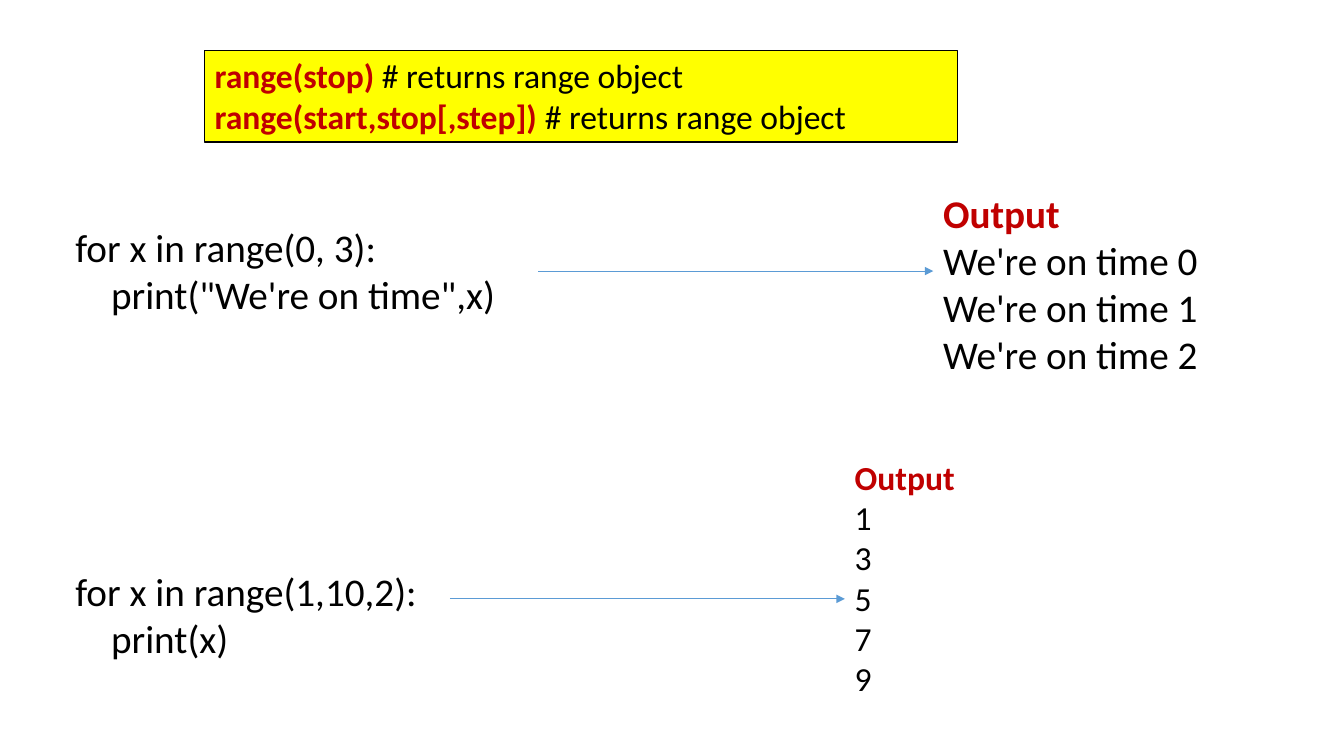
from lxml.etree import SubElement
from pptx import Presentation
from pptx.dml.color import RGBColor
from pptx.enum.shapes import MSO_CONNECTOR, MSO_SHAPE
from pptx.enum.text import MSO_ANCHOR, PP_ALIGN
from pptx.oxml.ns import qn
from pptx.util import Cm, Pt

FONT = "Calibri"
BLACK, RED, YELLOW, BLUE = "000000", "C00000", "FFFF00", "5B9BD5"
CODE_INDENT = 0.9
ARROW_LENGTH = 9.95

SYNTAX = {
    "place": (5.16, 1.27, 18.97, 2.31),
    "lines": [
        ("range(stop)", " # returns range object"),
        ("range(start,stop[,step])", " # returns range object"),
    ],
}
EXAMPLES = [
    {
        "code": ["for x in range(0, 3):", 'print("We\'re on time",x)'],
        "code_place": (1.65, 5.51, 16.94, 2.64),
        "output": ["We're on time 0", "We're on time 1", "We're on time 2"],
        "output_place": (23.52, 4.65, 8.94, 5.05),
        "output_size": 28,
        "arrow_y": 6.83,
    },
    {
        "code": ["for x in range(1,10,2):", "print(x)"],
        "code_place": (1.65, 14.17, 11.43, 2.64),
        "output": ["1", "3", "5", "7", "9"],
        "output_place": (21.29, 11.38, 4.47, 6.4),
        "output_size": 24,
        "arrow_y": 15.09,
    },
]


def colour(value):
    return RGBColor.from_string(value)


def add_text(page, lines, place, size=28, fill=None, indents=()):
    bounds = [Cm(length) for length in place]
    if fill:
        box = page.shapes.add_shape(MSO_SHAPE.RECTANGLE, *bounds)
        box.shadow.inherit = False
        box.fill.solid()
        box.fill.fore_color.rgb = colour(fill)
        box.line.color.rgb = colour(BLACK)
        box.line.width = Pt(0.75)
    else:
        box = page.shapes.add_textbox(*bounds)
    frame = box.text_frame
    frame.word_wrap = True
    frame.vertical_anchor = MSO_ANCHOR.TOP
    for index, (strong, plain) in enumerate(lines):
        para = frame.paragraphs[0] if index == 0 else frame.add_paragraph()
        para.alignment = PP_ALIGN.LEFT
        if index in indents:
            para._p.get_or_add_pPr().set("marL", str(Cm(CODE_INDENT)))
        for text, bold, ink in ((strong, True, RED), (plain, False, BLACK)):
            if text:
                span = para.add_run()
                span.text = text
                span.font.name = FONT
                span.font.size = Pt(size)
                span.font.bold = bold
                span.font.color.rgb = colour(ink)


def add_arrow(page, end_x, y):
    arrow = page.shapes.add_connector(
        MSO_CONNECTOR.STRAIGHT, Cm(end_x - ARROW_LENGTH), Cm(y), Cm(end_x), Cm(y)
    )
    arrow.line.color.rgb = colour(BLUE)
    arrow.line.width = Pt(0.5)
    SubElement(arrow.line._get_or_add_ln(), qn("a:tailEnd"), type="triangle")
    SubElement(arrow._element.spPr, qn("a:effectLst"))


def main():
    deck = Presentation()
    deck.slide_width, deck.slide_height = Cm(33.87), Cm(19.05)
    page = deck.slides.add_slide(deck.slide_layouts[6])
    add_text(page, SYNTAX["lines"], SYNTAX["place"], size=24, fill=YELLOW)
    for example in EXAMPLES:
        code = [("", line) for line in example["code"]]
        output = [("Output", "")] + [("", line) for line in example["output"]]
        add_text(page, code, example["code_place"], indents=(1,))
        add_text(page, output, example["output_place"], size=example["output_size"])
        add_arrow(page, example["output_place"][0], example["arrow_y"])
    deck.save("out.pptx")


if __name__ == "__main__":
    main()
